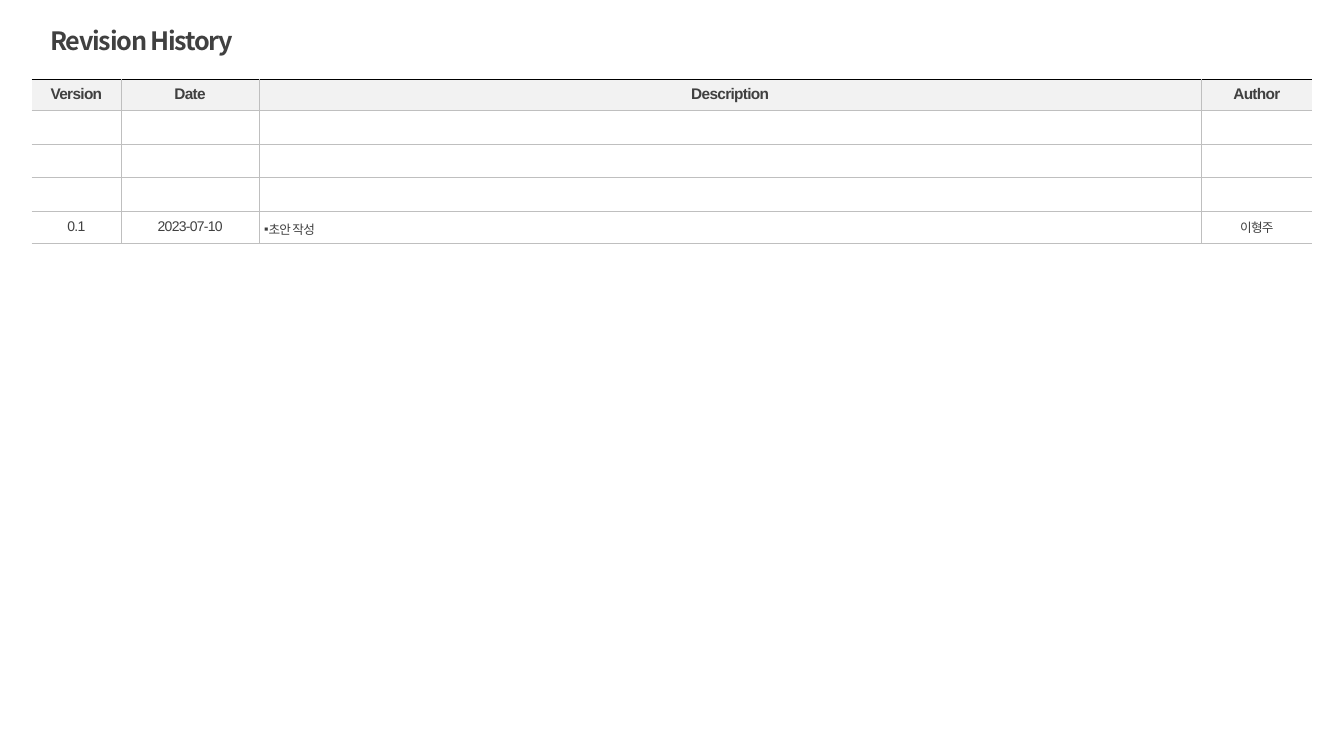
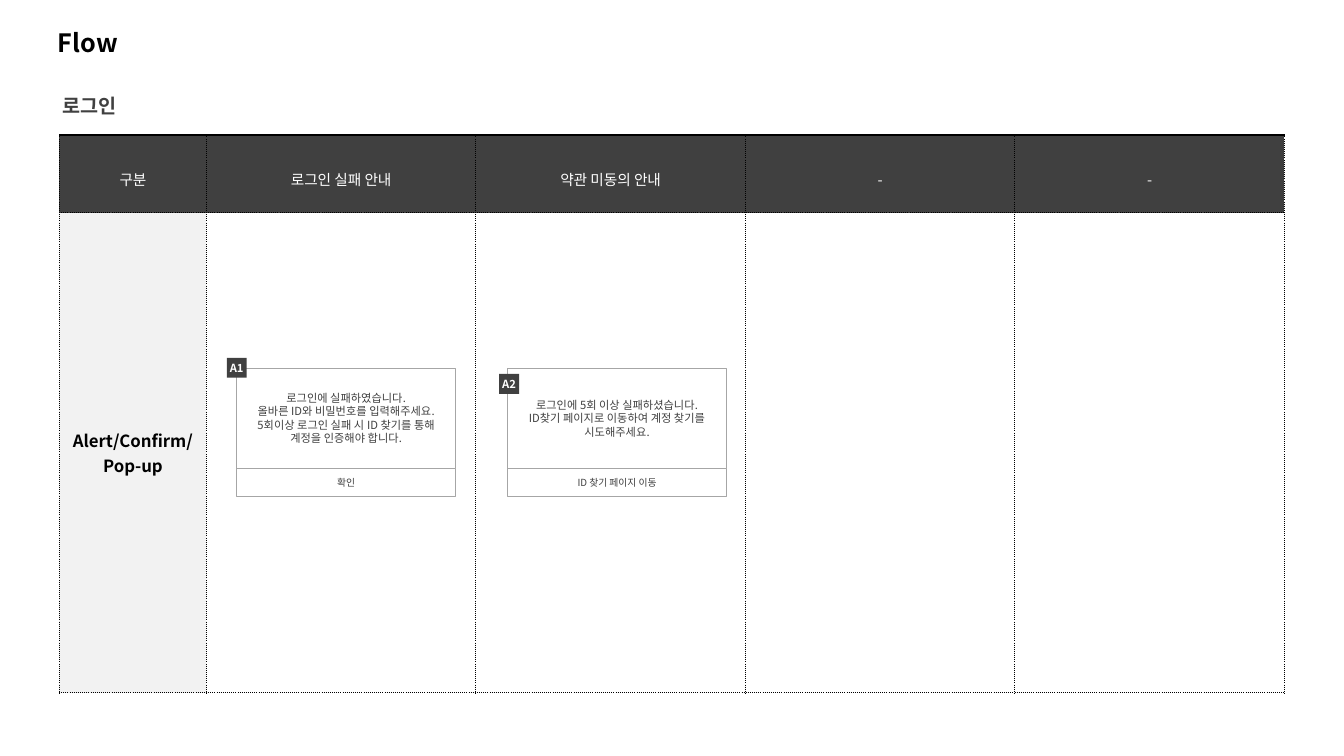
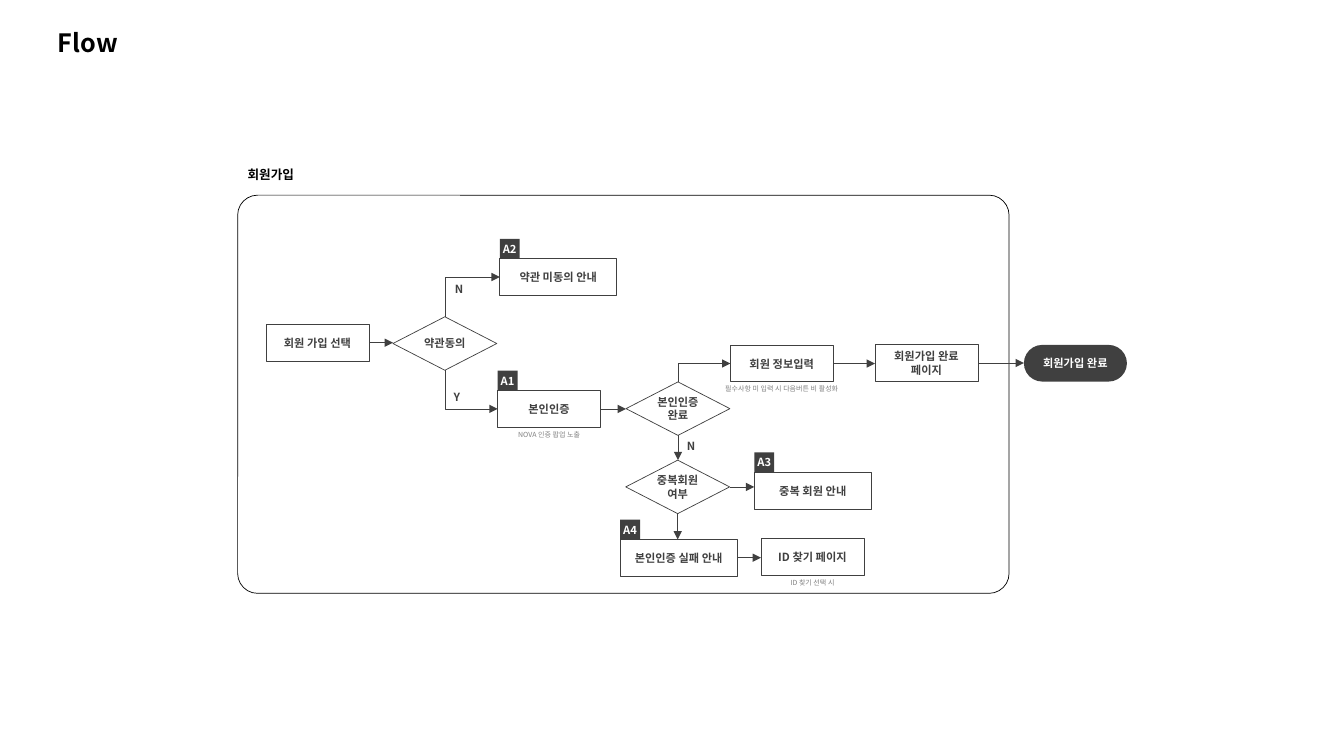
"""Build a revision history, an alert overview and a sign-up flow chart."""
from dataclasses import dataclass, replace

from lxml.etree import SubElement
from pptx import Presentation
from pptx.dml.color import RGBColor
from pptx.enum.shapes import MSO_CONNECTOR, MSO_SHAPE
from pptx.enum.text import MSO_ANCHOR, MSO_AUTO_SIZE, PP_ALIGN
from pptx.oxml.ns import qn
from pptx.util import Pt


@dataclass(frozen=True)
class TextStyle:
    size: float
    color: str
    bold: bool = False
    font: str = "Noto Sans CJK KR"
    tracking: float = 0
    leading: float = 1
    align: PP_ALIGN = PP_ALIGN.CENTER
    bullet: str = ""


@dataclass(frozen=True)
class Theme:
    ink: str = "404040"
    black: str = "000000"
    white: str = "FFFFFF"
    shade: str = "F2F2F2"
    rule: str = "BFBFBF"
    card_line: str = "A6A6A6"
    korean: str = "Noto Sans CJK KR"
    title: TextStyle = TextStyle(18, "000000", True, align=PP_ALIGN.LEFT)
    section: TextStyle = TextStyle(14, "404040", True, align=PP_ALIGN.LEFT)
    group: TextStyle = TextStyle(9, "000000", True, align=PP_ALIGN.LEFT)
    history_head: TextStyle = TextStyle(11, "404040", True, "Arial", -0.5)
    history_cell: TextStyle = TextStyle(10, "404040", False, "Arial", -0.5)
    alert_head: TextStyle = TextStyle(10.5, "FFFFFF", leading=1.5)
    alert_side: TextStyle = TextStyle(12, "000000", True)
    message: TextStyle = TextStyle(8, "404040")
    button: TextStyle = TextStyle(7, "404040")
    node: TextStyle = TextStyle(8, "404040", True)
    reverse: TextStyle = TextStyle(8, "FFFFFF", True)
    note: TextStyle = TextStyle(5, "808080")


THEME = Theme()
PAGE_SIZE = (960, 540)
BADGE_SIDE = 14.2
NOTE_WIDTH = 110

HISTORY = {
    "at": (22.6, 56.4),
    "columns": (64, 98.5, 673, 79.5),
    "rows": (22.3, 24, 24, 24, 23),
    "cells": [
        ["Version", "Date", "Description", "Author"],
        *[[""] * 4] * 3,
        ["0.1", "2023-07-10", "초안 작성", "이형주"],
    ],
}

ALERTS = {
    "at": (42.5, 96.4),
    "columns": (105, *[192.5] * 4),
    "rows": (55.5, 343),
    "cells": [
        ["구분", "로그인 실패 안내", "약관 미동의 안내", "-", "-"],
        ["Alert/Confirm/\nPop-up", "", "", "", ""],
    ],
}

CARDS = [
    ("A1", 169, (162, 255.6), "확인",
     "로그인에 실패하였습니다.\n올바른 ID와 비밀번호를 입력해주세요.\n"
     "5회이상 로그인 실패 시 ID 찾기를 통해 계정을 인증해야 합니다."),
    ("A2", 362.5, (356.6, 267.1), "ID 찾기 페이지 이동",
     "로그인에 5회 이상 실패하셨습니다.\nID찾기 페이지로 이동하여 계정 찾기를\n시도해주세요."),
]
CARD_TOP, CARD_WIDTH, MESSAGE_HEIGHT, BUTTON_HEIGHT = 263, 156.5, 71.5, 20
CARD_MARGIN = 6

NODE_KINDS = {
    "step": (MSO_SHAPE.RECTANGLE, 73.6, 26.2),
    "notice": (MSO_SHAPE.RECTANGLE, 83.6, 26.2),
    "choice": (MSO_SHAPE.FLOWCHART_DECISION, 74.2, 38.2),
    "end": (MSO_SHAPE.ROUNDED_RECTANGLE, 73.6, 26.2),
}

NODES = {
    "start": ("step", 190, 231.7, "회원 가입 선택", "", ""),
    "terms": ("choice", 280.7, 226.3, "약관동의", "", ""),
    "refused": ("notice", 357, 184.8, "약관 미동의 안내", "A2", ""),
    "verify": ("step", 355.5, 279, "본인인증", "A1", "NOVA 인증 팝업 노출"),
    "verified": ("choice", 447.2, 272.8, "본인인증\n완료", "", ""),
    "duplicate": ("choice", 447, 328.7, "중복회원\n여부", "", ""),
    "details": ("step", 521.7, 246.6, "회원 정보입력", "",
                "필수사항 미 입력 시 다음버튼 비 활성화"),
    "complete": ("step", 625, 246.2, "회원가입 완료\n페이지", "", ""),
    "joined": ("end", 731.4, 246.4, "회원가입 완료", "", ""),
    "existing": ("notice", 538.8, 337.4, "중복 회원 안내", "A3", ""),
    "failed": ("notice", 443, 385.3, "본인인증 실패 안내", "A4", ""),
    "find_id": ("step", 543.6, 384.7, "ID 찾기 페이지", "", "ID 찾기 선택 시"),
}

ARROWS = [
    ("start", "terms", "across"),
    ("terms", "refused", "elbow"),
    ("terms", "verify", "elbow"),
    ("verify", "verified", "across"),
    ("verified", "details", "elbow"),
    ("verified", "duplicate", "down"),
    ("details", "complete", "across"),
    ("complete", "joined", "across"),
    ("duplicate", "existing", "across"),
    ("duplicate", "failed", "down"),
    ("failed", "find_id", "across"),
]

ANSWERS = [("N", 328, 206.6), ("Y", 326.4, 283.6), ("N", 493.6, 318.6)]


def points(*values):
    return [Pt(value) for value in values]


def write(frame, text, style):
    for index, line in enumerate(text.split("\n")):
        para = frame.paragraphs[0] if index == 0 else frame.add_paragraph()
        if style.bullet:
            props = para._p.get_or_add_pPr()
            props.set("marL", "0")
            props.set("indent", str(-Pt(5.8)))
            SubElement(props, qn("a:buFont"), typeface=style.font)
            SubElement(props, qn("a:buChar"), char=style.bullet)
        para.alignment = style.align
        para.line_spacing = style.leading
        if not line:
            SubElement(para._p, qn("a:endParaRPr"), sz=str(int(style.size * 100)))
            continue
        span = para.add_run()
        span.text = line
        font = span.font
        font.size, font.bold, font.name = Pt(style.size), style.bold, style.font
        font.color.rgb = RGBColor.from_string(style.color)
        run_props = span._r.get_or_add_rPr()
        run_props.set("spc", str(int(style.tracking * 100)))
        SubElement(run_props, qn("a:ea"), typeface=THEME.korean)


def set_margins(target, side, edge):
    target.margin_left = target.margin_right = Pt(side)
    target.margin_top = target.margin_bottom = Pt(edge)
    target.vertical_anchor = MSO_ANCHOR.MIDDLE


def add_page(deck, title, left, style=THEME.title):
    page = deck.slides.add_slide(deck.slide_layouts[5])
    box = page.shapes.title
    box.left, box.top, box.width, box.height = points(left, 16, 828, 29)
    frame = box.text_frame
    frame.auto_size, frame.word_wrap = MSO_AUTO_SIZE.NONE, True
    set_margins(frame, 9.4, 3.6)
    write(frame, title, style)
    return page


def add_text(page, text, style, left, top, width, height, side=0):
    box = page.shapes.add_textbox(*points(left, top, width, height))
    frame = box.text_frame
    frame.word_wrap = True
    set_margins(frame, side, 0)
    write(frame, text, style)


def add_box(page, kind, at, fill, line="", weight=0.5, text="", style=THEME.node, side=0):
    box = page.shapes.add_shape(kind, *points(*at))
    box.shadow.inherit = False
    box.fill.solid()
    box.fill.fore_color.rgb = RGBColor.from_string(fill)
    if line:
        box.line.color.rgb = RGBColor.from_string(line)
        box.line.width = Pt(weight)
    else:
        box.line.fill.background()
    if text:
        box.text_frame.word_wrap = side > 0
        set_margins(box.text_frame, side, 0)
        write(box.text_frame, text, style)
    return box


def add_badge(page, text, left, top):
    add_box(page, MSO_SHAPE.RECTANGLE, (left, top, BADGE_SIDE, BADGE_SIDE), THEME.ink,
            text=text, style=THEME.reverse)


def set_borders(cell, borders):
    props = cell._tc.get_or_add_tcPr()
    for index, side in enumerate("LRTB"):
        color, weight, dash = borders.get(side, ("", 0, ""))
        line = SubElement(props, qn(f"a:ln{side}"), w=str(Pt(weight)))
        props.insert(index, line)
        if not color:
            SubElement(line, qn("a:noFill"))
            continue
        SubElement(SubElement(line, qn("a:solidFill")), qn("a:srgbClr"), val=color)
        SubElement(line, qn("a:prstDash"), val=dash)


def add_grid(page, grid, format_cell):
    columns, rows = grid["columns"], grid["rows"]
    size = (sum(columns), sum(rows))
    table = page.shapes.add_table(len(rows), len(columns), *points(*grid["at"], *size)).table
    table.first_row = table.horz_banding = False
    for column, width in zip(table.columns, columns):
        column.width = Pt(width)
    for row, height in zip(table.rows, rows):
        row.height = Pt(height)
    for r, texts in enumerate(grid["cells"]):
        for c, text in enumerate(texts):
            cell = table.cell(r, c)
            style, fill, margins, borders = format_cell(r, c)
            set_margins(cell, *margins)
            write(cell.text_frame, text, style)
            cell.fill.solid()
            cell.fill.fore_color.rgb = RGBColor.from_string(fill)
            set_borders(cell, borders)


def history_format(r, c):
    rule = (THEME.rule, 0.25, "solid")
    borders = {"T": rule if r else (THEME.black, 0.25, "solid"), "B": rule}
    if c > 0:
        borders["L"] = rule
    if c < len(HISTORY["columns"]) - 1:
        borders["R"] = rule
    if r == 0:
        return THEME.history_head, THEME.shade, (9.4, 4.7), borders
    last = r == len(HISTORY["rows"]) - 1
    style = replace(THEME.history_cell, size=9 if c > 1 else 10)
    if last and c == 2:
        style = replace(style, leading=1.2, align=PP_ALIGN.LEFT, bullet="▪")
        return style, THEME.white, (3.6, 3.6), borders
    return style, THEME.white, (9.4, 4.7), borders


def alert_format(r, c):
    borders = dict.fromkeys("LRTB", (THEME.black, 0.75, "sysDot"))
    if r == 0:
        borders["T"] = (THEME.black, 1, "solid")
        return THEME.alert_head, THEME.ink, (7.2, 3.6), borders
    return THEME.alert_side, THEME.white if c else THEME.shade, (7.2, 3.6), borders


def add_card(page, badge, left, badge_at, button, message):
    parts = [(CARD_TOP, MESSAGE_HEIGHT, message, THEME.message),
             (CARD_TOP + MESSAGE_HEIGHT, BUTTON_HEIGHT, button, THEME.button)]
    for top, height, text, style in parts:
        add_box(page, MSO_SHAPE.RECTANGLE, (left, top, CARD_WIDTH, height), THEME.white,
                THEME.card_line, 0.75, text, style, CARD_MARGIN)
    add_badge(page, badge, *badge_at)


def add_node(page, kind, left, top, text, badge, note):
    preset, width, height = NODE_KINDS[kind]
    is_end = kind == "end"
    box = add_box(page, preset, (left, top, width, height),
                  THEME.ink if is_end else THEME.white, "" if is_end else THEME.ink,
                  text=text, style=THEME.reverse if is_end else THEME.node)
    if is_end:
        box.adjustments[0] = 0.5
    if badge:
        add_badge(page, badge, left, top - BADGE_SIDE)
    if note:
        add_text(page, note, THEME.note, left + (width - NOTE_WIDTH) / 2, top + height + 1.5,
                 NOTE_WIDTH, 7)


def add_arrow(page, source, target, route):
    kind, left, top = NODES[source][:3]
    _, width, height = NODE_KINDS[kind]
    target_kind, target_left, target_top = NODES[target][:3]
    target_middle = target_top + NODE_KINDS[target_kind][2] / 2
    center, middle = left + width / 2, top + height / 2
    is_up = target_middle < middle
    start = (left + width, middle) if route == "across" else (center, top if is_up else top + height)
    end = {"across": (target_left, middle),
           "down": (center, target_top),
           "elbow": (target_left, target_middle)}[route]
    shape_kind = MSO_CONNECTOR.ELBOW if route == "elbow" else MSO_CONNECTOR.STRAIGHT
    arrow = page.shapes.add_connector(shape_kind, *points(*start, *end))
    arrow.line.color.rgb = RGBColor.from_string(THEME.ink)
    arrow.line.width = Pt(0.5)
    props = arrow._element.spPr
    SubElement(props.find(qn("a:ln")), qn("a:tailEnd"), type="triangle")
    SubElement(props, qn("a:effectLst"))
    if route == "elbow":
        across, along = end[0] - start[0], abs(end[1] - start[1])
        arrow.left = Pt((start[0] + end[0] - along) / 2)
        arrow.top = Pt((start[1] + end[1] - across) / 2)
        arrow.width, arrow.height = points(along, across)
        props.find(qn("a:prstGeom")).set("prst", "bentConnector2")
        frame = props.find(qn("a:xfrm"))
        frame.set("rot", str((90 if is_up else 270) * 60000))
        frame.set("flipH", "1")
        frame.set("flipV", "1" if is_up else "0")


def build_history(deck):
    style = replace(THEME.title, color=THEME.ink, tracking=-0.9, leading=0.9)
    page = add_page(deck, "Revision History", 26.6, style)
    add_grid(page, HISTORY, history_format)


def build_alerts(deck):
    page = add_page(deck, "Flow", 32)
    add_grid(page, ALERTS, alert_format)
    add_text(page, "로그인", THEME.section, 37.4, 63.4, 839, 24.5, side=7.2)
    for card in CARDS:
        add_card(page, *card)


def build_flow(deck):
    page = add_page(deck, "Flow", 32)
    area = add_box(page, MSO_SHAPE.ROUNDED_RECTANGLE, (169.8, 139.4, 551, 284.4),
                   THEME.white, THEME.black)
    area.adjustments[0] = 0.05
    add_text(page, "회원가입", THEME.group, 169.8, 116.4, 61, 17, side=7.2)
    for node in NODES.values():
        add_node(page, *node)
    for arrow in ARROWS:
        add_arrow(page, *arrow)
    for text, center, middle in ANSWERS:
        add_text(page, text, THEME.node, center - 8, middle - 8.5, 16, 17)


def main():
    deck = Presentation()
    deck.slide_width, deck.slide_height = points(*PAGE_SIZE)
    for build in (build_history, build_alerts, build_flow):
        build(deck)
    deck.save("out.pptx")


if __name__ == "__main__":
    main()
